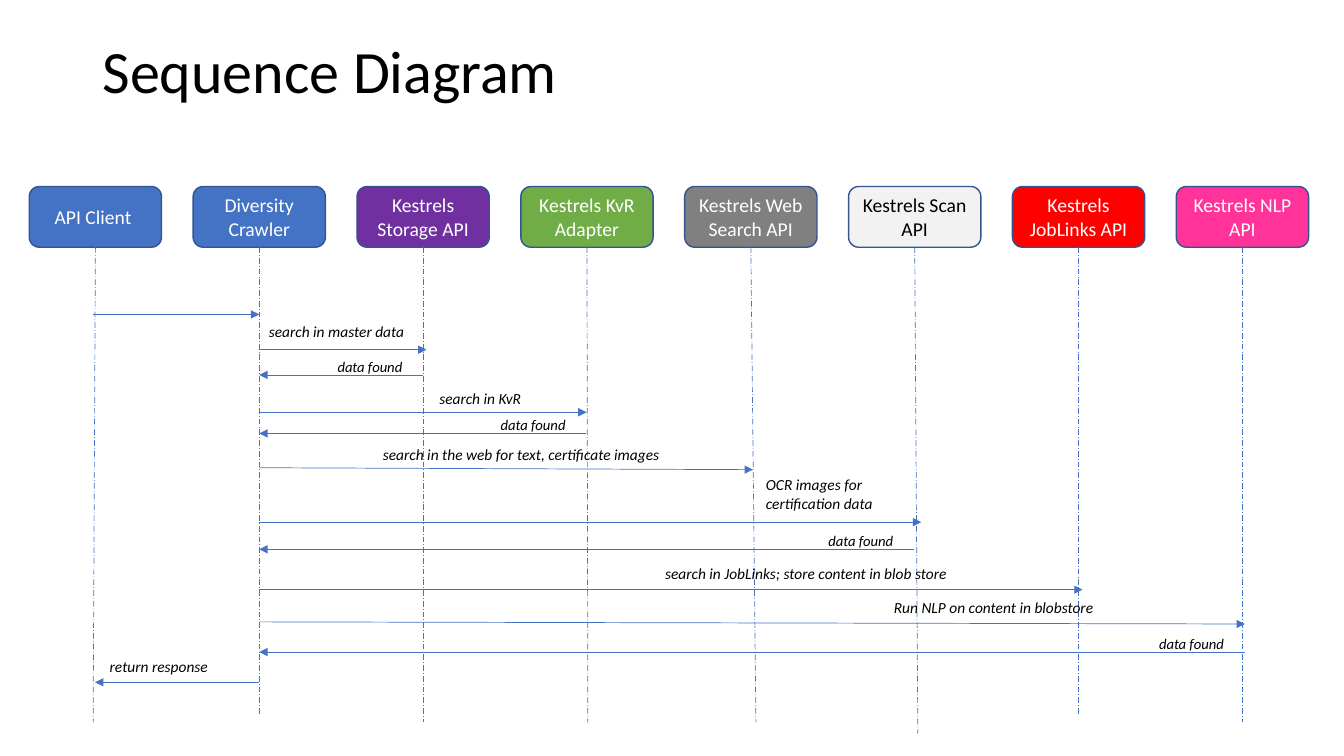
from lxml import etree
from pptx import Presentation
from pptx.dml.color import RGBColor
from pptx.enum.dml import MSO_LINE
from pptx.enum.shapes import MSO_CONNECTOR, MSO_SHAPE
from pptx.enum.text import MSO_ANCHOR, MSO_AUTO_SIZE, PP_ALIGN
from pptx.oxml.ns import qn
from pptx.util import Pt

STRAIGHT = MSO_CONNECTOR.STRAIGHT
ROUNDED = MSO_SHAPE.ROUNDED_RECTANGLE
LONG_DASH_DOT = MSO_LINE.LONG_DASH_DOT
MIDDLE = MSO_ANCHOR.MIDDLE
NO_AUTOFIT = MSO_AUTO_SIZE.NONE
LEFT = PP_ALIGN.LEFT
CENTER = PP_ALIGN.CENTER

COLORS = {
    "blue": "4472C4", "outline": "325491", "purple": "7030A0",
    "green": "70AD47", "gray": "808080", "light": "F2F2F2",
    "red": "FF0000", "pink": "FF3399", "white": "FFFFFF", "black": "000000",
}
FONT = "Calibri"
BOX_LEFT, BOX_TOP, BOX_WIDTH, BOX_HEIGHT, BOX_PITCH = 20.9, 133.2, 94.5, 43.4, 117.05
BOX_BOTTOM = BOX_TOP + BOX_HEIGHT
CRAWLER = 185.2


def set_text(shape, text, size, color, alignment, italic=False):
    frame = shape.text_frame
    frame.word_wrap = True
    frame.text = text
    paragraph = frame.paragraphs[0]
    paragraph.alignment = alignment
    font = paragraph.runs[0].font
    font.name = FONT
    font.size = Pt(size)
    font.italic = italic
    font.color.rgb = RGBColor.from_string(COLORS[color])


def add_line(start_x, start_y, end_x, end_y):
    connector = slide.shapes.add_connector(
        STRAIGHT, Pt(start_x), Pt(start_y), Pt(end_x), Pt(end_y))
    connector.line.color.rgb = RGBColor.from_string(COLORS["blue"])
    connector.line.width = Pt(0.5)
    etree.SubElement(connector._element.spPr, qn("a:effectLst"))
    return connector


presentation = Presentation()
presentation.slide_width = Pt(960)
presentation.slide_height = Pt(540)
slide = presentation.slides.add_slide(presentation.slide_layouts[5])

title = slide.shapes.title
title.left, title.top, title.width, title.height = Pt(66), Pt(28.8), Pt(828), Pt(52)
set_text(title, "Sequence Diagram", 42.9, "black", LEFT)
title.text_frame.auto_size = NO_AUTOFIT
title.text_frame.vertical_anchor = MIDDLE
title.text_frame.paragraphs[0].line_spacing = 0.8

# name, fill, text color, lifeline drift, lifeline end
participants = [
    ("API Client ", "blue", "white", -1.6, 516),
    ("Diversity Crawler", "blue", "white", 0, 511),
    ("Kestrels Storage API", "purple", "white", 0, 516),
    ("Kestrels KvR Adapter", "green", "white", 0.6, 516),
    ("Kestrels Web Search API", "gray", "white", 3.6, 516),
    ("Kestrels Scan API", "light", "black", 2.2, 524),
    ("Kestrels JobLinks API", "red", "white", 0, 511),
    ("Kestrels NLP API", "pink", "white", 0, 516),
]
for index, (name, fill, text_color, drift, lifeline_end) in enumerate(participants):
    left = BOX_LEFT + index * BOX_PITCH
    box = slide.shapes.add_shape(
        ROUNDED, Pt(left), Pt(BOX_TOP), Pt(BOX_WIDTH), Pt(BOX_HEIGHT))
    box.shadow.inherit = False
    box.fill.solid()
    box.fill.fore_color.rgb = RGBColor.from_string(COLORS[fill])
    box.line.color.rgb = RGBColor.from_string(COLORS["outline"])
    box.line.width = Pt(1)
    box.text_frame.vertical_anchor = MIDDLE
    set_text(box, name, 14, text_color, CENTER)
    center = left + BOX_WIDTH / 2
    lifeline = add_line(center, BOX_BOTTOM, center + drift, lifeline_end)
    lifeline.line.dash_style = LONG_DASH_DOT

# start x, end x, start y, end y
messages = [
    (66.2, CRAWLER, 224.6, 224.6),
    (CRAWLER, 304.6, 249.8, 249.8),
    (302.4, CRAWLER, 267.8, 267.8),
    (CRAWLER, 419, 294.5, 294.5),
    (418.3, CRAWLER, 309.6, 309.6),
    (CRAWLER, 537.8, 334.1, 335.5),
    (CRAWLER, 658.1, 373, 373),
    (653, CRAWLER, 392.4, 392.4),
    (CRAWLER, 773.3, 421.2, 421.2),
    (CRAWLER, 889.2, 444.2, 445.7),
    (889.2, CRAWLER, 465.8, 465.8),
    (CRAWLER, 67.9, 487.4, 487.4),
]
for start_x, end_x, start_y, end_y in messages:
    arrow = add_line(start_x, start_y, end_x, end_y)
    etree.SubElement(arrow.line._get_or_add_ln(), qn("a:tailEnd"), type="triangle")

# text, left, top, width, height, size
labels = [
    ("search in master data", 185, 226.8, 119, 20.9, 11),
    ("data found", 234, 252, 70, 20.9, 10.5),
    ("search in KvR", 306.7, 274.3, 119, 20.9, 11),
    ("data found", 350.6, 293.8, 70, 20.9, 10.5),
    ("search in the web for text, certificate images", 266.4, 314.6, 270, 20.9, 11),
    ("OCR images for certification data", 540, 336.2, 119, 33.8, 11),
    ("data found", 584.6, 376.6, 70, 20.9, 10.5),
    ("search in JobLinks; store content in blob store", 468, 399.6, 302.4, 20.9, 11),
    ("Run NLP on content in blobstore", 631.4, 423.4, 263.5, 20.9, 11),
    ("data found", 820.8, 450, 70, 20.9, 10.5),
    ("return response", 71.3, 465.8, 119, 20.9, 11),
]
for text, left, top, width, height, size in labels:
    label = slide.shapes.add_textbox(Pt(left), Pt(top), Pt(width), Pt(height))
    set_text(label, text, size, "black", LEFT, italic=True)

presentation.save("out.pptx")
